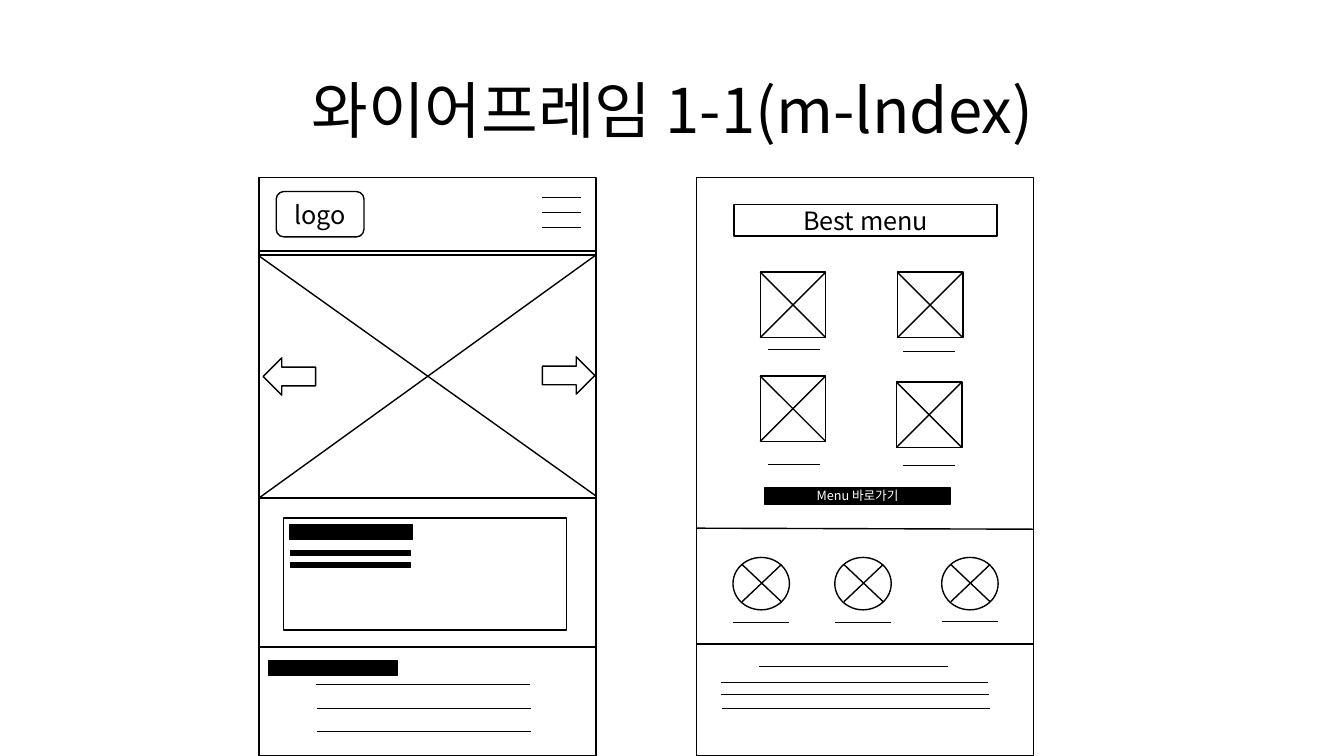
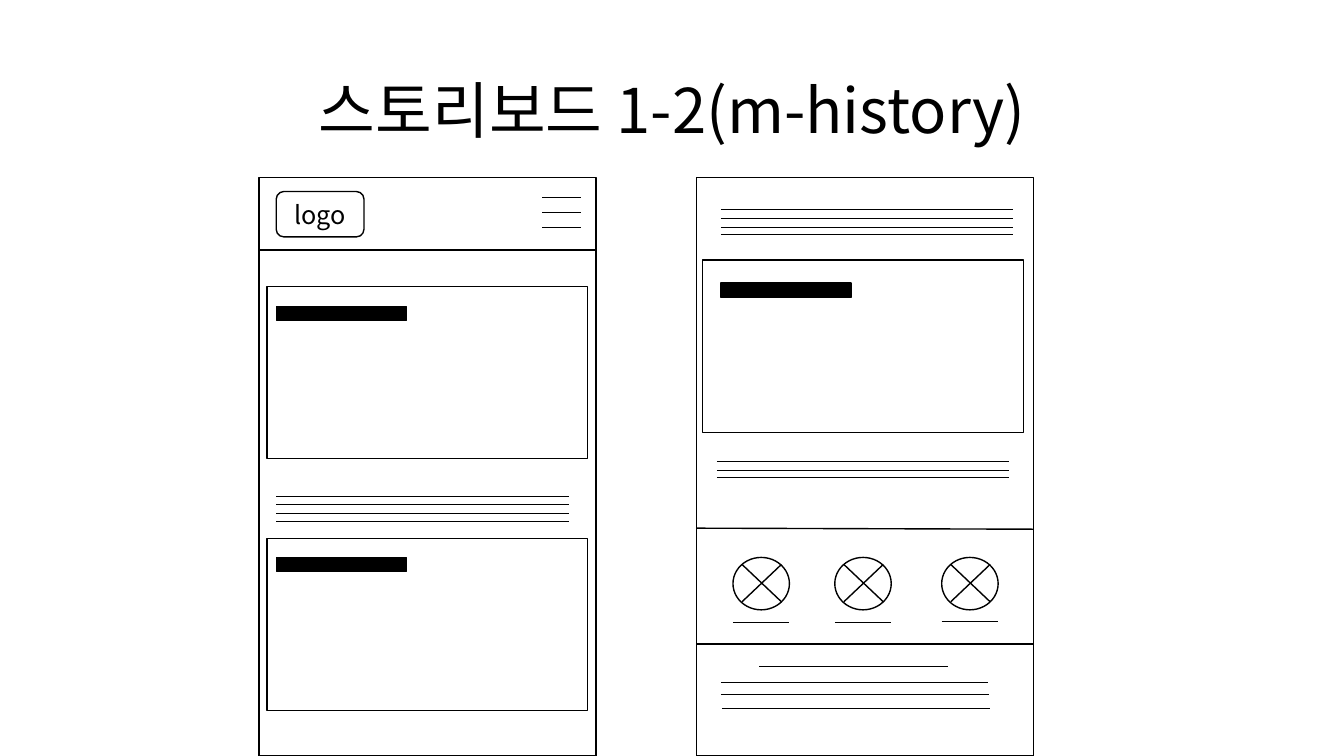
import pptx
import pptx.util
import pptx.dml.color
import pptx.enum.shapes
import pptx.enum.text
import pptx.oxml.ns
import lxml.etree

Inches, Pt = pptx.util.Inches, pptx.util.Pt
RGB = pptx.dml.color.RGBColor.from_string
MSO = pptx.enum.shapes.MSO_SHAPE
qn = pptx.oxml.ns.qn
COLORS = {"ink": "000000", "paper": "FFFFFF"}
FONT = "Noto Sans CJK KR"
LEFT, RIGHT, TOP, WIDTH, HEIGHT = 2.57, 6.91, 1.76, 3.34, 5.74
THIN = 0.5


def put_text(tf, text, size=18, color="ink", spacing=1.0):
    tf.word_wrap = True
    tf.auto_size = pptx.enum.text.MSO_AUTO_SIZE.NONE
    tf.vertical_anchor = pptx.enum.text.MSO_ANCHOR.MIDDLE
    p = tf.paragraphs[0]
    p.alignment = pptx.enum.text.PP_ALIGN.CENTER
    p.line_spacing = spacing
    r = p.add_run()
    r.text = text
    r.font.size = Pt(size)
    r.font.name = FONT
    r.font.color.rgb = RGB(COLORS[color])
    ea = lxml.etree.SubElement(r.font._element, qn("a:ea"))
    ea.set("typeface", FONT)


def draw(s, kind, at, fill="paper", weight=1):
    lengths = [Inches(v) for v in at]
    if kind == "line":
        sp = s.shapes.add_connector(pptx.enum.shapes.MSO_CONNECTOR.STRAIGHT, *lengths)
        lxml.etree.SubElement(sp._element.spPr, qn("a:ln"))
        lxml.etree.SubElement(sp._element.spPr, qn("a:effectLst"))
    else:
        sp = s.shapes.add_shape(kind, *lengths)
        sp.shadow.inherit = False
        sp.fill.solid()
        sp.fill.fore_color.rgb = RGB(COLORS[fill])
    sp.line.color.rgb = RGB(COLORS["ink"])
    sp.line.width = Pt(weight)
    return sp


prs = pptx.Presentation()
prs.slide_width, prs.slide_height = Inches(13.33), Inches(7.5)

slides = []
for title, header_y in [("와이어프레임 1-1(m-lndex)", 2.49), ("스토리보드 1-2(m-history)", 2.48)]:
    s = prs.slides.add_slide(prs.slide_layouts[5])
    slides.append(s)
    heading = s.shapes.title
    heading.left, heading.top = Inches(0.92), Inches(0.4)
    heading.width, heading.height = Inches(11.5), Inches(1.45)
    put_text(heading.text_frame, title, size=44, spacing=0.9)

    for x in (LEFT, RIGHT):
        draw(s, MSO.RECTANGLE, (x, TOP, WIDTH, HEIGHT))
    draw(s, "line", (LEFT, header_y, LEFT + WIDTH, header_y))
    logo = draw(s, MSO.ROUNDED_RECTANGLE, (2.74, 1.9, 0.87, 0.45))
    put_text(logo.text_frame, "logo")
    for i in range(3):
        y = 1.96 + 0.15 * i
        draw(s, "line", (5.38, y, 5.76, y))

    draw(s, "line", (RIGHT, 5.24, RIGHT + WIDTH, 5.25))
    for x, caption_y in [(7.27, 6.17), (8.28, 6.17), (9.34, 6.16)]:
        draw(s, MSO.OVAL, (x, 5.53, 0.56, 0.52))
        draw(s, "line", (x + 0.09, 5.6, x + 0.48, 5.97))
        draw(s, "line", (x + 0.48, 5.6, x + 0.09, 5.97))
        draw(s, "line", (x, caption_y, x + 0.56, caption_y), weight=THIN)
    draw(s, "line", (RIGHT, 6.39, RIGHT + WIDTH, 6.39))
    for x1, x2, y in [(7.53, 9.4, 6.61), (7.15, 9.8, 6.77), (7.15, 9.81, 6.89), (7.16, 9.82, 7.03)]:
        draw(s, "line", (x1, y, x2, y), weight=THIN)

index, history = slides

draw(index, MSO.RECTANGLE, (LEFT, 2.53, WIDTH, 2.41))
draw(index, "line", (LEFT, 2.54, LEFT + WIDTH, 4.92))
draw(index, "line", (LEFT + WIDTH, 2.53, LEFT, 4.94))
draw(index, MSO.RIGHT_ARROW, (5.38, 3.54, 0.52, 0.37))
back = draw(index, MSO.RIGHT_ARROW, (2.61, 3.55, 0.52, 0.37))
back.rotation = 180

draw(index, MSO.RECTANGLE, (2.81, 5.14, 2.81, 1.11))
for bar in [(2.87, 5.21, 1.22, 0.14), (2.88, 5.46, 1.19, 0.05),
            (2.88, 5.58, 1.19, 0.05), (2.67, 6.55, 1.27, 0.15)]:
    draw(index, MSO.RECTANGLE, bar, fill="ink")
draw(index, "line", (LEFT, 6.42, LEFT + WIDTH, 6.42))
for x, y in [(3.13, 6.79), (3.14, 7.03), (3.14, 7.26)]:
    draw(index, "line", (x, y, x + 2.13, y), weight=THIN)

best = draw(index, MSO.RECTANGLE, (7.28, 2.03, 2.61, 0.31))
put_text(best.text_frame, "Best menu")
for x, y, caption_x, caption_y in [(7.54, 2.7, 7.62, 3.47), (8.9, 2.7, 8.96, 3.49),
                                   (7.54, 3.73, 7.62, 4.61), (8.89, 3.79, 8.96, 4.62)]:
    draw(index, MSO.RECTANGLE, (x, y, 0.65, 0.65))
    draw(index, "line", (x, y, x + 0.65, y + 0.65))
    draw(index, "line", (x + 0.65, y, x, y + 0.65))
    draw(index, "line", (caption_x, caption_y, caption_x + 0.51, caption_y), weight=THIN)
button = draw(index, MSO.RECTANGLE, (7.58, 4.84, 1.85, 0.16), fill="ink")
put_text(button.text_frame, "Menu 바로가기", size=9, color="paper")

for x, y, bar_x, bar_y in [(2.65, 2.84, 2.74, 3.04), (2.65, 5.34, 2.74, 5.53), (6.97, 2.58, 7.15, 2.81)]:
    draw(history, MSO.RECTANGLE, (x, y, 3.18, 1.71))
    draw(history, MSO.RECTANGLE, (bar_x, bar_y, 1.29, 0.14), fill="ink")
for x, rows in [(2.74, (4.92, 5, 5.09, 5.17)), (7.15, (2.08, 2.17, 2.26, 2.33)), (7.11, (4.58, 4.67, 4.74))]:
    for y in rows:
        draw(history, "line", (x, y, x + 2.9, y), weight=THIN)

prs.save("out.pptx")
